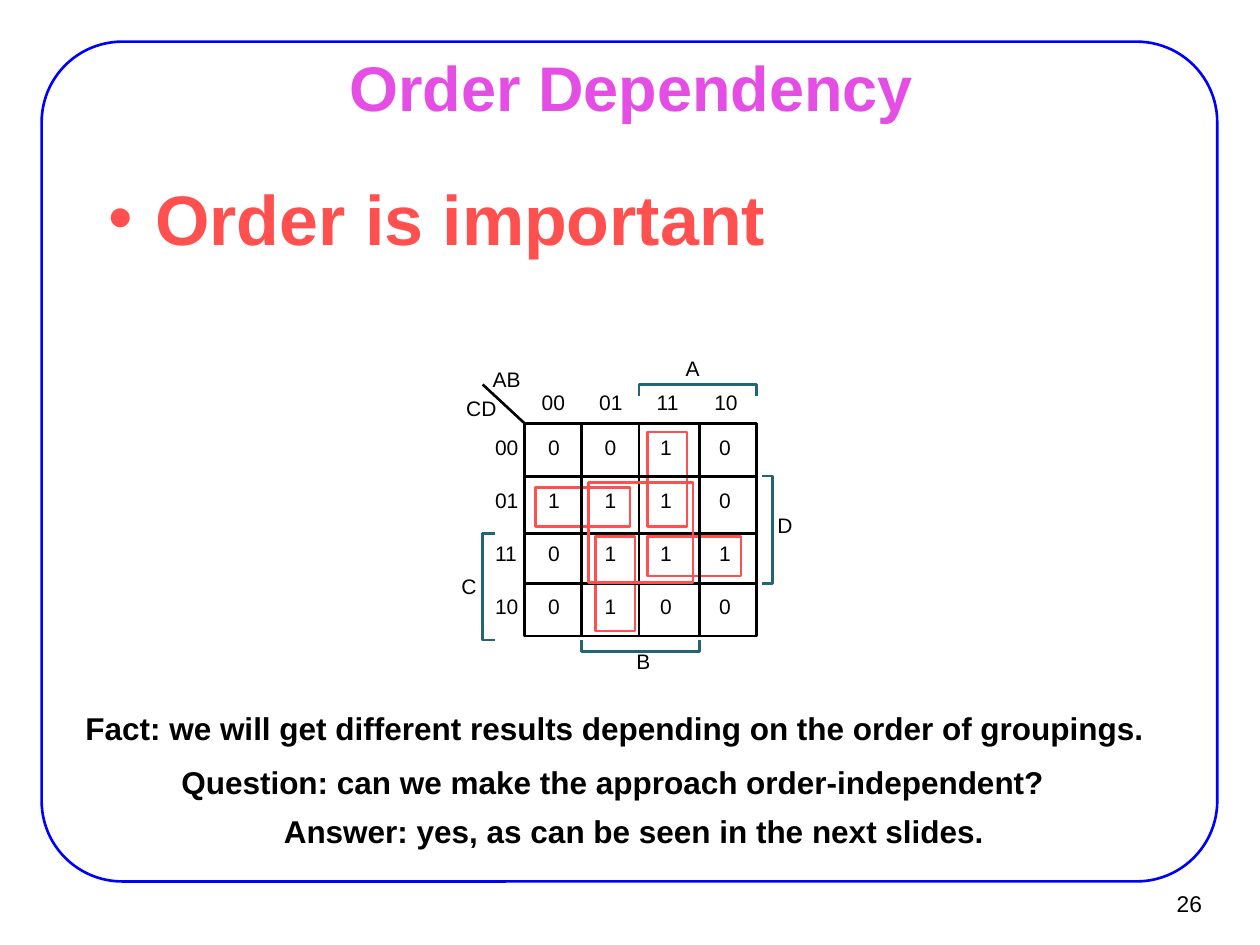
import pptx
import pptx.dml.color
import pptx.enum.shapes
import pptx.enum.text
import pptx.oxml
import pptx.oxml.ns
import pptx.util

Cm = pptx.util.Cm
Pt = pptx.util.Pt
ALIGN = pptx.enum.text.PP_ALIGN
ANCHOR = pptx.enum.text.MSO_ANCHOR
SHAPE = pptx.enum.shapes.MSO_SHAPE

COLORS = {
    "frame": "0000FF",
    "title": "E44EE4",
    "accent": "FF5050",
    "bracket": "226577",
    "ink": "000000",
}


def rgb(name):
    return pptx.dml.color.RGBColor.from_string(COLORS[name])


def write_text(frame, text, size=12, color="ink", bold=False, align=ALIGN.LEFT,
               anchor=ANCHOR.TOP, inset=(0, 0), wrap=True, spacing=None, before=0):
    frame.auto_size = pptx.enum.text.MSO_AUTO_SIZE.NONE
    frame.word_wrap = wrap
    frame.vertical_anchor = anchor
    frame.margin_left = frame.margin_right = Cm(inset[0])
    frame.margin_top = frame.margin_bottom = Cm(inset[1])
    paragraph = frame.paragraphs[0]
    paragraph.alignment = align
    paragraph.space_before = Pt(before)
    if spacing:
        paragraph.line_spacing = spacing
    run = paragraph.add_run()
    run.text = text
    run.font.name = "Arial"
    run.font.size = Pt(size)
    run.font.bold = bold
    run.font.color.rgb = rgb(color)
    return paragraph


class SlideBuilder:
    font_inset = (0.28, 0.15)
    line_width = 1.5

    def __init__(self, slide):
        self.slide = slide

    def stroke(self, line, color):
        line.color.rgb = rgb(color)
        line.width = Pt(self.line_width)

    def outline(self, shape, color):
        shape.shadow.inherit = False
        shape.fill.background()
        self.stroke(shape.line, color)
        return shape

    def box(self, bounds, color, kind=SHAPE.RECTANGLE):
        return self.outline(self.slide.shapes.add_shape(kind, *map(Cm, bounds)), color)

    def line(self, start, end, color="ink"):
        connector = self.slide.shapes.add_connector(
            pptx.enum.shapes.MSO_CONNECTOR.STRAIGHT, *map(Cm, start + end))
        self.stroke(connector.line, color)
        connector._element.spPr.append(pptx.oxml.parse_xml(
            f'<a:effectLst {pptx.oxml.ns.nsdecls("a")}/>'))

    def bracket(self, points):
        corners = [(Cm(x), Cm(y)) for x, y in points]
        builder = self.slide.shapes.build_freeform(*corners[0], scale=1.0)
        builder.add_line_segments(corners[1:], close=False)
        self.outline(builder.convert_to_shape(), "bracket")

    def text(self, text, bounds, **style):
        textbox = self.slide.shapes.add_textbox(*map(Cm, bounds))
        write_text(textbox.text_frame, text, **style)

    def label(self, text, left, top):
        self.text(text, (left, top, 0.4 if len(text) == 1 else 0.7, 0.51))

    def placeholder(self, index, text, bounds, **style):
        holder = self.slide.placeholders[index]
        holder.left, holder.top, holder.width, holder.height = map(Cm, bounds)
        return write_text(holder.text_frame, text, inset=self.font_inset, **style)

    def bullet(self, paragraph, color, indent):
        properties = paragraph._p.get_or_add_pPr()
        properties.set("marL", str(Cm(indent)))
        properties.set("indent", str(-Cm(indent)))
        namespace = pptx.oxml.ns.nsdecls("a")
        for xml in (
            f'<a:buClr {namespace}><a:srgbClr val="{COLORS[color]}"/></a:buClr>',
            f'<a:buFont {namespace} typeface="Arial"/>',
            f'<a:buChar {namespace} char="•"/>',
        ):
            properties.append(pptx.oxml.parse_xml(xml))


def draw_karnaugh_map(builder):
    left, top, right, bottom = 10.58, 8.54, 15.25, 12.82
    column_lines = (11.72, 12.88, 14.1)
    row_lines = (9.6, 10.75, 11.76)
    gray_code = ("00", "01", "11", "10")
    values = ("0010", "1110", "0111", "0100")
    digit_lefts = (11.05, 12.19, 13.31, 14.5)
    first_row, row_step = 8.76, 1.07
    first_header, header_step = 10.92, 1.16

    for loop in ((10.8, 9.83, 1.9, 0.79), (13.06, 10.82, 1.88, 0.79),
                 (12.01, 10.82, 0.79, 1.9), (13.06, 8.71, 0.79, 1.9)):
        builder.box(loop, "accent")

    builder.box((left, top, right - left, bottom - top), "ink")
    for y in row_lines:
        builder.line((left, y), (right, y))
    for x in column_lines:
        builder.line((x, top), (x, bottom))
    builder.line((left, top), (9.73, 7.75))

    for index, (code, digits) in enumerate(zip(gray_code, values)):
        row_top = first_row + index * row_step
        builder.label(code, first_header + index * header_step, 7.85)
        builder.label(code, 9.98, row_top)
        for digit, digit_left in zip(digits, digit_lefts):
            builder.label(digit, digit_left, row_top)

    for points in (
        ((12.88, 7.98), (12.88, 7.75), (right, 7.75), (right, 7.98)),
        ((9.98, 12.9), (9.73, 12.9), (9.73, 10.75), (9.98, 10.75)),
        ((14.1, 12.9), (14.1, 13.13), (11.72, 13.13), (11.72, 12.9)),
        ((15.37, 9.6), (15.57, 9.6), (15.57, 11.76), (15.37, 11.76)),
    ):
        builder.bracket(points)

    for name, x, y in (("AB", 9.93, 7.39), ("CD", 9.4, 7.98), ("A", 13.82, 7.16),
                       ("B", 12.83, 13.08), ("C", 9.3, 11.56), ("D", 15.67, 10.34)):
        builder.label(name, x, y)
    builder.box((11.86, 9.73, 2.11, 2.01), "accent")


def main():
    presentation = pptx.Presentation()
    presentation.slide_width, presentation.slide_height = Cm(25.4), Cm(19.05)
    builder = SlideBuilder(presentation.slides.add_slide(presentation.slide_layouts[1]))

    frame = builder.box((0.84, 0.84, 23.7, 16.93), "frame", SHAPE.ROUNDED_RECTANGLE)
    frame.adjustments[0] = 0.096
    builder.text("26", (22.91, 17.75, 1.55, 0.94), size=13, align=ALIGN.RIGHT,
                 anchor=ANCHOR.MIDDLE, inset=(0.23, 0.1), wrap=False)
    builder.placeholder(0, "Order Dependency", (1.93, 1.12, 21.59, 1.24), size=36,
                        color="title", bold=True, align=ALIGN.CENTER,
                        anchor=ANCHOR.MIDDLE)
    point = builder.placeholder(1, "Order is important", (1.9, 3.38, 15.39, 2.13),
                                size=40, color="accent", bold=True, before=10)
    builder.bullet(point, "accent", 0.95)

    draw_karnaugh_map(builder)

    for remark, bounds in (
        ("Fact: we will get different results depending on the order of groupings.",
         (1.55, 14.33, 21.69, 0.79)),
        ("Question: can we make the approach order-independent?",
         (3.48, 15.42, 17.75, 0.79)),
        ("Answer: yes, as can be seen in the next slides.",
         (5.54, 16.41, 14.48, 0.79)),
    ):
        builder.text(remark, bounds, size=18, bold=True, align=ALIGN.CENTER,
                     inset=(0.18, 0.08), wrap=False, spacing=0.85)

    presentation.save("out.pptx")


if __name__ == "__main__":
    main()
